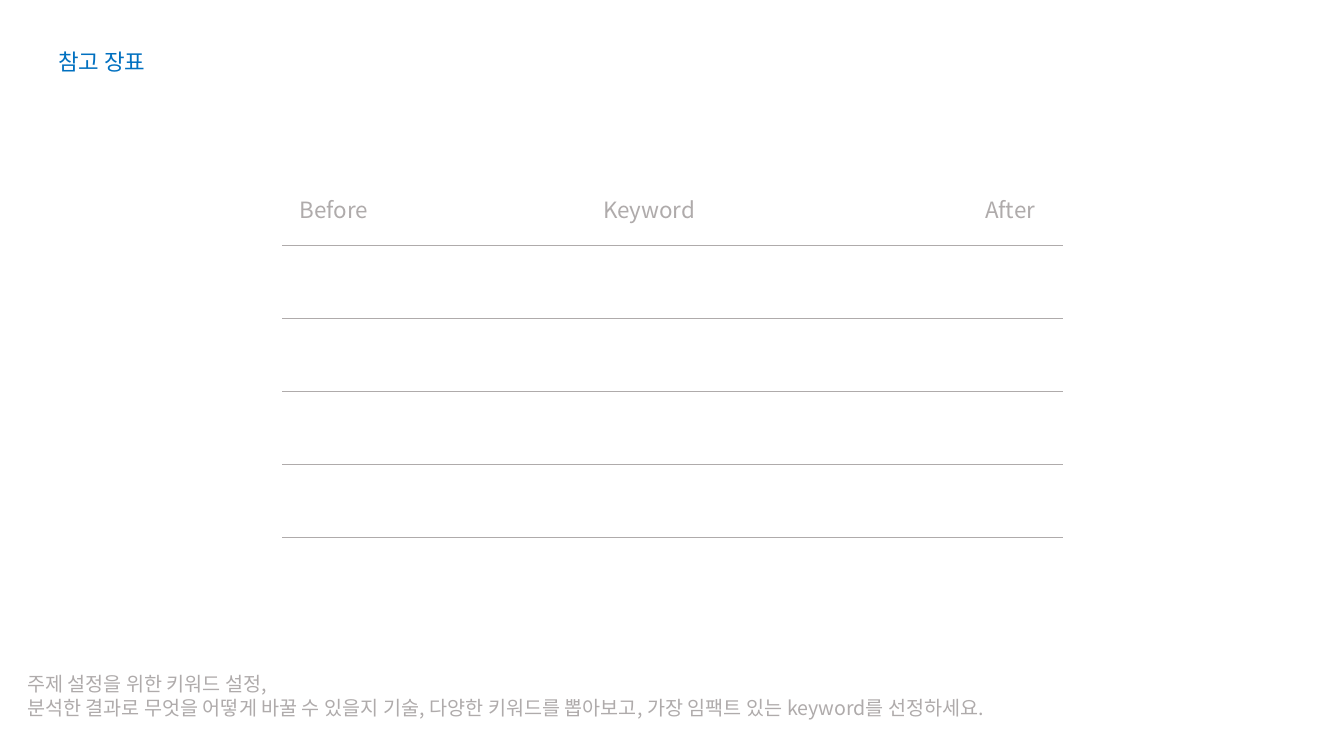
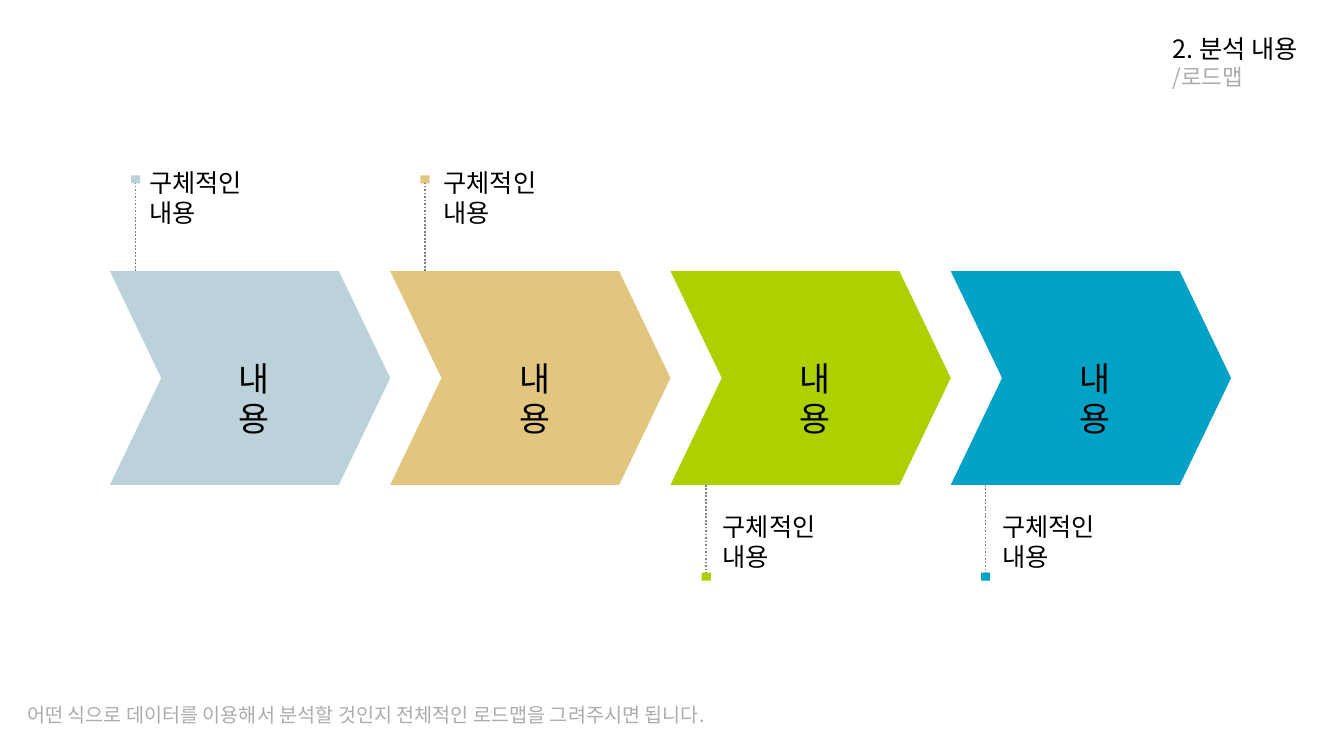
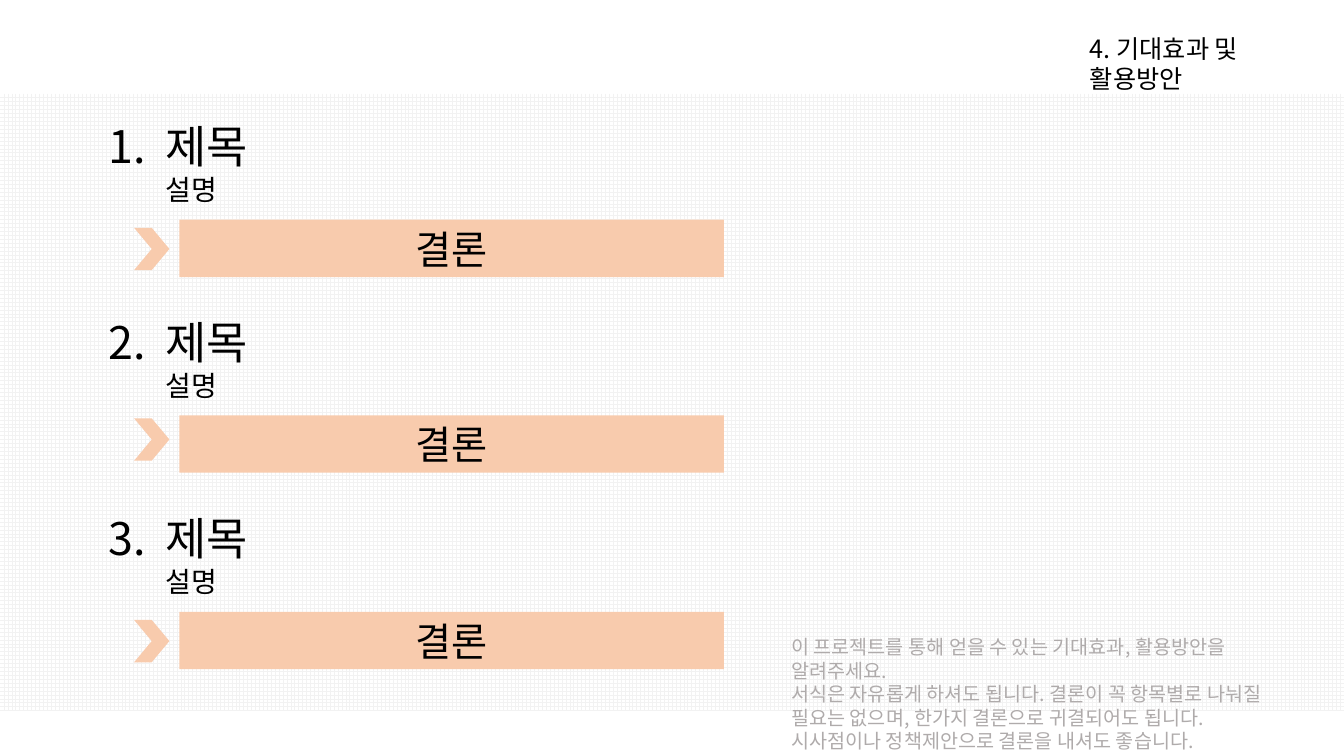
from dataclasses import dataclass

from lxml.etree import SubElement
from pptx import Presentation
from pptx.dml.color import RGBColor
from pptx.enum.dml import MSO_LINE, MSO_PATTERN
from pptx.enum.shapes import MSO_CONNECTOR, MSO_SHAPE
from pptx.enum.text import MSO_ANCHOR, MSO_AUTO_SIZE, PP_ALIGN
from pptx.oxml.ns import qn
from pptx.presentation import Presentation as Deck
from pptx.shapes.autoshape import Shape
from pptx.shapes.connector import Connector
from pptx.slide import Slide
from pptx.util import Inches, Pt

FONT = "Noto Sans CJK KR"
BLACK = RGBColor(0x00, 0x00, 0x00)
WHITE = RGBColor(0xFF, 0xFF, 0xFF)
GRAY = RGBColor(0xAF, 0xAB, 0xAB)
DOT_GRAY = RGBColor(0x80, 0x80, 0x80)
GRID_GRAY = RGBColor(0xF2, 0xF2, 0xF2)
BLUE = RGBColor(0x00, 0x70, 0xC0)
PALE_BLUE = RGBColor(0xBB, 0xD2, 0xDB)
SAND = RGBColor(0xE2, 0xC6, 0x80)
LIME = RGBColor(0xAF, 0xCF, 0x01)
TEAL = RGBColor(0x01, 0xA2, 0xC6)
PEACH = RGBColor(0xF8, 0xCB, 0xAD)

SLIDE_WIDTH, SLIDE_HEIGHT = 13.33, 7.5
TITLE_ONLY, COMPARISON = 5, 4


@dataclass(frozen=True)
class Box:
    left: float
    top: float
    width: float
    height: float


@dataclass(frozen=True)
class Words:
    text: str
    size: int
    color: RGBColor = BLACK


@dataclass(frozen=True)
class Heading:
    text: str
    left: float


@dataclass(frozen=True)
class Stage:
    color: RGBColor
    marker_left: float
    detail_left: float
    above: bool


@dataclass(frozen=True)
class Conclusion:
    top: float
    arrow_top: float


HEADINGS = [Heading("Before", 2.47), Heading("Keyword", 5.6), Heading("After", 9.18)]
STAGES = [
    Stage(PALE_BLUE, 1.3, 1.38, True),
    Stage(SAND, 4.17, 4.3, True),
    Stage(LIME, 6.96, 7.07, False),
    Stage(TEAL, 9.73, 9.84, False),
]
CONCLUSIONS = [Conclusion(1.13, 2.26), Conclusion(3.07, 4.15), Conclusion(5.02, 6.15)]


def place(shape: Shape, box: Box) -> None:
    shape.left, shape.top = Inches(box.left), Inches(box.top)
    shape.width, shape.height = Inches(box.width), Inches(box.height)


def add_run(paragraph, words: Words) -> None:
    run = paragraph.add_run()
    run.text = words.text
    run.font.size = Pt(words.size)
    run.font.bold = False
    run.font.color.rgb = words.color
    run.font.name = FONT
    SubElement(run.font._element, qn("a:ea"), typeface=FONT)


def write(shape: Shape, lines: list[Words], align: PP_ALIGN = PP_ALIGN.LEFT) -> None:
    frame = shape.text_frame
    frame.word_wrap = True
    for index, words in enumerate(lines):
        paragraph = frame.add_paragraph() if index else frame.paragraphs[0]
        paragraph.alignment = align
        add_run(paragraph, words)


def fit_from_top(shape: Shape) -> None:
    shape.text_frame.vertical_anchor = MSO_ANCHOR.TOP
    shape.text_frame.auto_size = MSO_AUTO_SIZE.SHAPE_TO_FIT_TEXT


def add_text(slide: Slide, box: Box, lines: list[Words],
             align: PP_ALIGN = PP_ALIGN.LEFT) -> None:
    shape = slide.shapes.add_textbox(0, 0, 0, 0)
    place(shape, box)
    fit_from_top(shape)
    write(shape, lines, align)


def add_title_slide(presentation: Deck, layout: int, box: Box, lines: list[Words],
                    align: PP_ALIGN = PP_ALIGN.LEFT) -> Slide:
    slide = presentation.slides.add_slide(presentation.slide_layouts[layout])
    title = slide.shapes.title
    place(title, box)
    fit_from_top(title)
    write(title, lines, align)
    return slide


def add_note(slide: Slide, box: Box, texts: list[str]) -> None:
    add_text(slide, box, [Words(text, 14, GRAY) for text in texts])


def add_block(slide: Slide, kind: MSO_SHAPE, box: Box, color: RGBColor) -> Shape:
    shape = slide.shapes.add_shape(kind, 0, 0, 0, 0)
    place(shape, box)
    shape.shadow.inherit = False
    shape.fill.solid()
    shape.fill.fore_color.rgb = color
    shape.line.fill.background()
    return shape


def add_line(slide: Slide, start: tuple[float, float], end: tuple[float, float],
             color: RGBColor, width: float) -> Connector:
    line = slide.shapes.add_connector(
        MSO_CONNECTOR.STRAIGHT, *(Inches(value) for value in start + end))
    line.line.color.rgb = color
    line.line.width = Pt(width)
    SubElement(line.element.spPr, qn("a:effectLst"))
    return line


def add_stage(slide: Slide, stage: Stage, left: float) -> None:
    top, height = 2.69, 2.12
    chevron = add_block(slide, MSO_SHAPE.CHEVRON, Box(left, top, 2.78, height), stage.color)
    chevron.adjustments[0] = 0.24
    add_text(slide, Box(left + 1.18, 3.5, 0.78, 0.5), [Words("내용", 24)])

    marker_top, detail_top = (1.74, 1.61) if stage.above else (5.68, 5.02)
    edge = top if stage.above else top + height
    marker = add_block(slide, MSO_SHAPE.RECTANGLE,
                       Box(stage.marker_left, marker_top, 0.09, 0.08), stage.color)
    center = stage.marker_left + 0.045
    leader = add_line(slide, (center, edge), (center, marker_top), DOT_GRAY, 1.25)
    leader.line.dash_style = MSO_LINE.ROUND_DOT
    leader.end_connect(marker, 2 if stage.above else 0)
    add_text(slide, Box(stage.detail_left, detail_top, 1.12, 0.71),
             [Words("구체적인 내용", 18)])


def write_numbered(shape: Shape, number: int, heading: Words, detail: Words) -> None:
    fit_from_top(shape)
    shape.text_frame.word_wrap = True
    paragraph = shape.text_frame.paragraphs[0]
    paragraph.space_before = Pt(0)
    add_run(paragraph, heading)
    paragraph.add_line_break()
    add_run(paragraph, detail)
    properties = paragraph._p.get_or_add_pPr()
    properties.set("marL", str(Inches(0.56)))
    properties.set("indent", str(-Inches(0.56)))
    SubElement(properties, qn("a:buFont"), typeface=FONT)
    SubElement(properties, qn("a:buAutoNum"), type="arabicPeriod", startAt=str(number))


def build_keywords(presentation: Deck) -> None:
    slide = add_title_slide(presentation, TITLE_ONLY, Box(0.17, 0.43, 1.68, 0.37),
                            [Words("참고 장표", 16, BLUE)], PP_ALIGN.CENTER)
    add_note(slide, Box(0.17, 6.62, 9.82, 0.57), [
        "주제 설정을 위한 키워드 설정,",
        "분석한 결과로 무엇을 어떻게 바꿀 수 있을지 기술, 다양한 키워드를 뽑아보고, "
        "가장 임팩트 있는 keyword를 선정하세요.",
    ])
    for heading in HEADINGS:
        add_text(slide, Box(heading.left, 1.9, 1.68, 0.37),
                 [Words(heading.text, 16, GRAY)], PP_ALIGN.CENTER)
    first, last, count = 2.43, 5.33, 5
    for index in range(count):
        y = first + index * (last - first) / (count - 1)
        add_line(slide, (2.8, y), (10.54, y), GRAY, 0.5)


def build_roadmap(presentation: Deck) -> None:
    slide = add_title_slide(presentation, TITLE_ONLY, Box(11.53, 0.28, 1.68, 0.67),
                            [Words("2. 분석 내용", 18), Words("/로드맵", 16, GRAY)])
    add_note(slide, Box(0.17, 6.92, 8.25, 0.34), [
        "어떤 식으로 데이터를 이용해서 분석할 것인지 전체적인 로드맵을 그려주시면 됩니다.",
    ])
    for index, stage in enumerate(STAGES):
        add_stage(slide, stage, 1.09 + index * 2.78)


def build_conclusions(presentation: Deck) -> None:
    slide = add_title_slide(presentation, COMPARISON, Box(10.71, 0.28, 2.5, 0.4),
                            [Words("4. 기대효과 및 활용방안", 18)])
    grid = add_block(slide, MSO_SHAPE.RECTANGLE, Box(0, 0.93, SLIDE_WIDTH, 6.12), WHITE)
    grid.fill.patterned()
    grid.fill.pattern = MSO_PATTERN.LARGE_GRID
    grid.fill.fore_color.rgb = GRID_GRAY
    grid.fill.back_color.rgb = WHITE
    grid.element.getparent().insert(2, grid.element)

    *bodies, spare = list(slide.placeholders)[1:]
    spare.element.getparent().remove(spare.element)
    for number, (body, item) in enumerate(zip(bodies, CONCLUSIONS), 1):
        place(body, Box(0.98, item.top, 6.63, 0.98))
        write_numbered(body, number, Words("제목", 32), Words("설명", 20))
        bar = add_block(slide, MSO_SHAPE.RECTANGLE,
                        Box(1.78, item.top + 1.05, 5.4, 0.57), PEACH)
        write(bar, [Words("결론", 28)], PP_ALIGN.CENTER)
        add_block(slide, MSO_SHAPE.CHEVRON, Box(1.33, item.arrow_top, 0.35, 0.42), PEACH)
    add_note(slide, Box(7.75, 6.25, 5.13, 1.04), [
        "이 프로젝트를 통해 얻을 수 있는 기대효과, 활용방안을 알려주세요.",
        "서식은 자유롭게 하셔도 됩니다. 결론이 꼭 항목별로 나눠질 필요는 없으며, "
        "한가지 결론으로 귀결되어도 됩니다. 시사점이나 정책제안으로 결론을 내셔도 좋습니다.",
    ])


def main() -> None:
    presentation = Presentation()
    presentation.slide_width = Inches(SLIDE_WIDTH)
    presentation.slide_height = Inches(SLIDE_HEIGHT)
    build_keywords(presentation)
    build_roadmap(presentation)
    build_conclusions(presentation)
    presentation.save("out.pptx")


if __name__ == "__main__":
    main()
